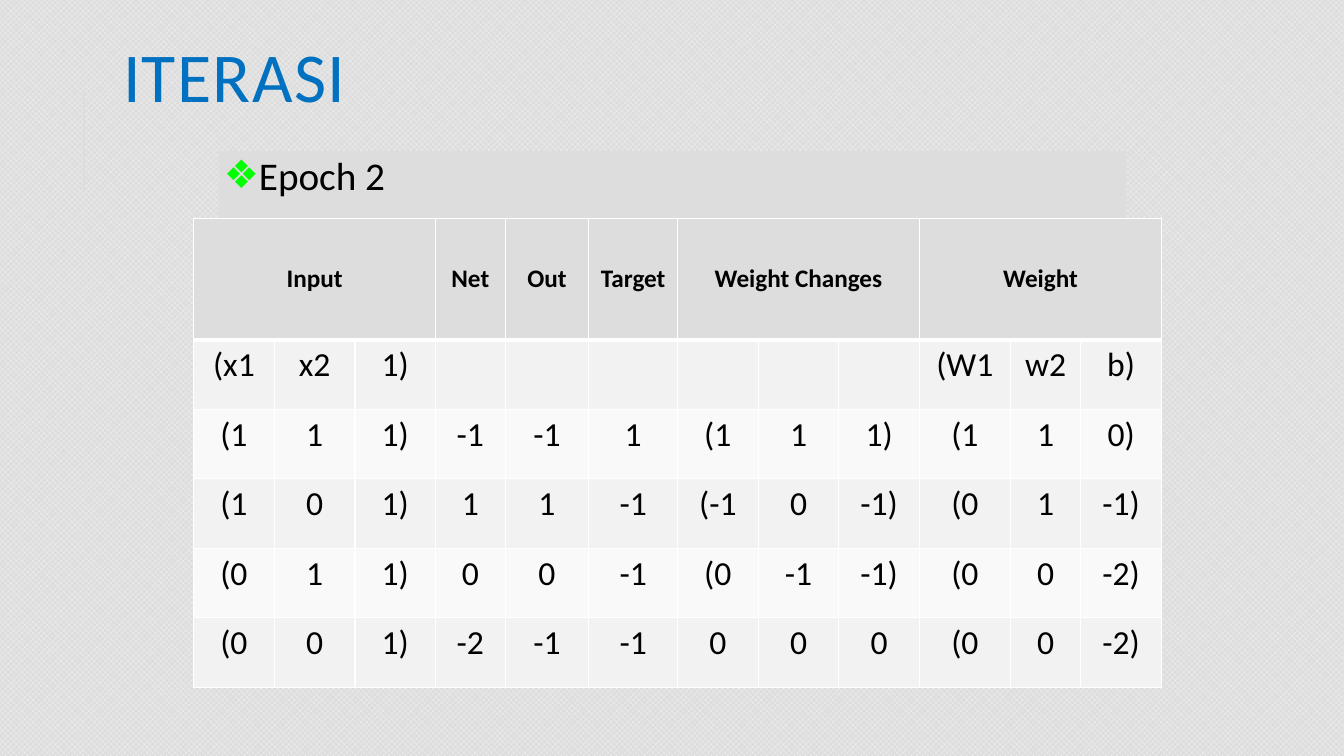
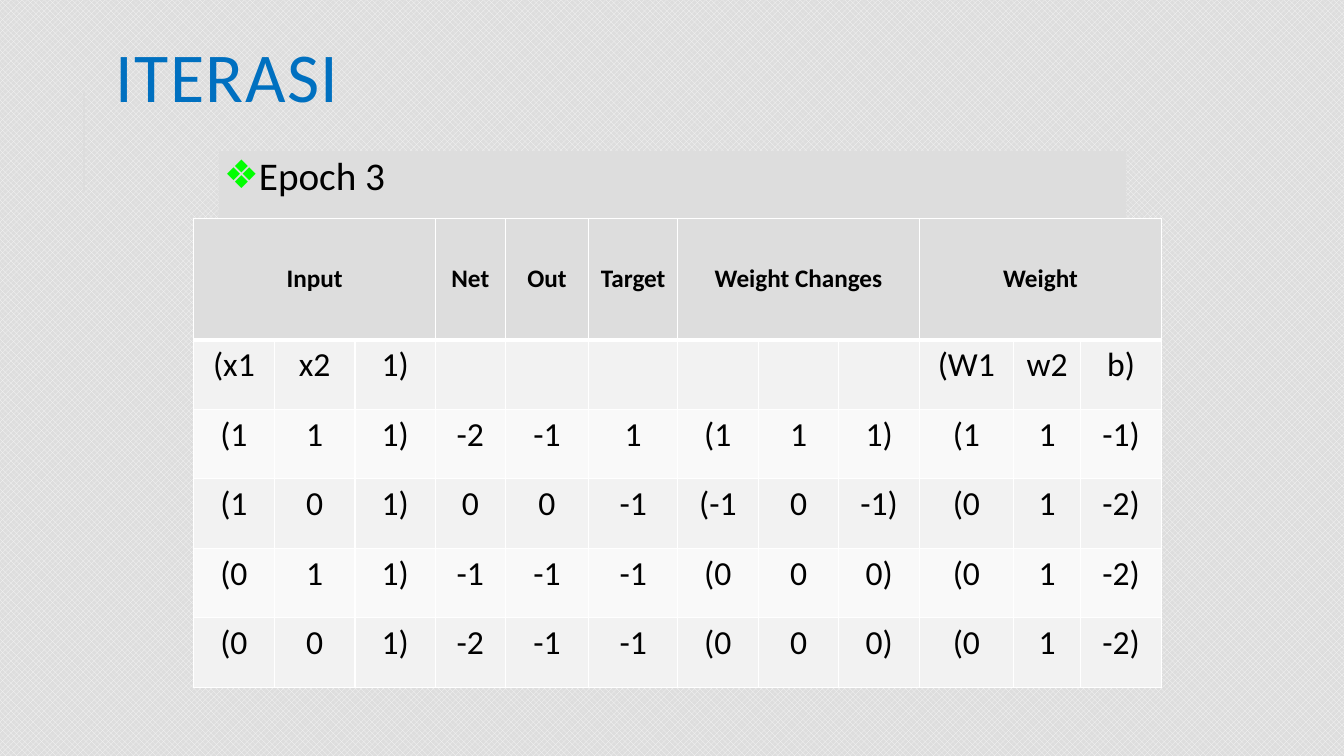
from lxml import etree
from pptx import Presentation
from pptx.dml.color import RGBColor
from pptx.enum.dml import MSO_PATTERN
from pptx.enum.shapes import MSO_CONNECTOR
from pptx.enum.text import MSO_ANCHOR, MSO_AUTO_SIZE, PP_ALIGN
from pptx.oxml.ns import qn
from pptx.util import Inches, Pt

STRAIGHT = MSO_CONNECTOR.STRAIGHT
SOLID_DIAMOND = MSO_PATTERN.SOLID_DIAMOND
MIDDLE, TOP = MSO_ANCHOR.MIDDLE, MSO_ANCHOR.TOP
LEFT, CENTER = PP_ALIGN.LEFT, PP_ALIGN.CENTER
NO_AUTOFIT = MSO_AUTO_SIZE.NONE

FONT = "Calibri"
BLACK = RGBColor(0x00, 0x00, 0x00)
WHITE = RGBColor(0xFF, 0xFF, 0xFF)
BLUE = RGBColor(0x00, 0x70, 0xC0)
GREEN = RGBColor(0x00, 0xFF, 0x00)
GRAY = RGBColor(0xDD, 0xDD, 0xDD)
PATTERN_DOT = RGBColor(0xF8, 0xF8, 0xF8)
BAND_COLORS = (RGBColor(0xF2, 0xF2, 0xF2), RGBColor(0xF9, 0xF9, 0xF9))

HEADERS = (("Input", 3), ("Net", 1), ("Out", 1), ("Target", 1),
           ("Weight Changes", 3), ("Weight", 3))
VARIABLES = ["(x1", "x2", "1)"] + [""] * 6 + ["(W1", "w2", "b)"]
INPUTS = ("(1 1 1)", "(1 0 1)", "(0 1 1)", "(0 0 1)")
SHARED_WIDTHS = (0.8, 0.8, 0.8, 0.69, 0.83, 0.88, 0.8, 0.8, 0.8)
HEADER_HEIGHT, ROW_HEIGHT = 1.2, 0.69

# Title, title left, widths of the weight columns, and for each input:
# net, out, target, weight changes, weights
EPOCHS = (
    ("Epoch 2", 1.12, (0.9, 0.7, 0.8), (
        "-1 -1 1 (1 1 1) (1 1 0)",
        "1 1 -1 (-1 0 -1) (0 1 -1)",
        "0 0 -1 (0 -1 -1) (0 0 -2)",
        "-2 -1 -1 0 0 0 (0 0 -2)")),
    ("Epoch 3", 1.05, (0.93, 0.67, 0.8), (
        "-2 -1 1 (1 1 1) (1 1 -1)",
        "0 0 -1 (-1 0 -1) (0 1 -2)",
        "-1 -1 -1 (0 0 0) (0 1 -2)",
        "-2 -1 -1 (0 0 0) (0 1 -2)")),
)


def set_font(paragraph, size, color, bold=False):
    font = paragraph.font
    font.name, font.size, font.bold = FONT, Pt(size), bold
    font.color.rgb = color


def place(shape, left, top, width, height):
    shape.left, shape.top = Inches(left), Inches(top)
    shape.width, shape.height = Inches(width), Inches(height)


def set_background(master):
    fill = master.background.fill
    fill.patterned()
    fill.pattern = SOLID_DIAMOND
    fill.fore_color.rgb = PATTERN_DOT
    fill.back_color.rgb = GRAY


def add_side_rule(slide):
    rule = slide.shapes.add_connector(
        STRAIGHT, Inches(0.83), Inches(1.9), Inches(0.83), Inches(0.9))
    rule.line.color.rgb = GRAY
    rule.line.width = Pt(1.5)
    etree.SubElement(rule.element.spPr, qn("a:effectLst"))


def set_title(slide, text, left):
    title = slide.shapes.title
    place(title, left, 0, 10.63, 1.64)
    frame = title.text_frame
    frame.text = text
    frame.auto_size = NO_AUTOFIT
    frame.vertical_anchor = MIDDLE
    paragraph = frame.paragraphs[0]
    paragraph.alignment = LEFT
    paragraph.line_spacing = 0.8
    set_font(paragraph, 50, BLUE)
    paragraph.font._element.set("spc", "100")


def add_bullet(paragraph, character, color):
    properties = paragraph._p.get_or_add_pPr()
    properties.set("marL", str(Inches(0.1)))
    properties.set("indent", str(-Inches(0.1)))
    bullet_color = etree.SubElement(properties, qn("a:buClr"))
    etree.SubElement(bullet_color, qn("a:srgbClr"), val=str(color))
    etree.SubElement(properties, qn("a:buChar"), char=character)


def set_body(slide, text):
    body = slide.placeholders[1]
    place(body, 2.17, 1.5, 9, 5.2)
    body.fill.solid()
    body.fill.fore_color.rgb = GRAY
    frame = body.text_frame
    frame.text = text
    frame.auto_size = NO_AUTOFIT
    frame.margin_left = frame.margin_right = Inches(0.05)
    frame.margin_top = frame.margin_bottom = Inches(0.05)
    paragraph = frame.paragraphs[0]
    paragraph.line_spacing = 0.9
    paragraph.space_before = Pt(12)
    paragraph.space_after = Pt(2)
    add_bullet(paragraph, "❖", GREEN)
    set_font(paragraph, 28, BLACK)


def set_borders(cell, top, bottom):
    """Draw white borders; top and bottom are widths in points."""
    properties = cell._tc.get_or_add_tcPr()
    for side, width in (("L", 1), ("R", 1), ("T", top), ("B", bottom)):
        line = etree.SubElement(properties, qn(f"a:ln{side}"), w=str(Pt(width)))
        fill = etree.SubElement(line, qn("a:solidFill"))
        etree.SubElement(fill, qn("a:srgbClr"), val=str(WHITE))


def format_cell(cell, row):
    is_header = row == 0
    set_borders(cell, 3 if row == 1 else 1, 3 if is_header else 1)
    cell.fill.solid()
    cell.fill.fore_color.rgb = GRAY if is_header else BAND_COLORS[(row - 1) % 2]
    cell.vertical_anchor = MIDDLE if is_header else TOP
    paragraph = cell.text_frame.paragraphs[0]
    paragraph.alignment = CENTER
    set_font(paragraph, 18 if is_header else 24, BLACK, is_header)


def add_epoch_table(slide, weight_widths, results):
    rows = [VARIABLES] + [f"{inputs} {result}".split()
                          for inputs, result in zip(INPUTS, results)]
    widths = SHARED_WIDTHS + weight_widths
    height = HEADER_HEIGHT + ROW_HEIGHT * len(rows)
    table = slide.shapes.add_table(
        len(rows) + 1, len(widths), Inches(1.92), Inches(2.17),
        Inches(sum(widths)), Inches(height)).table
    for column, width in zip(table.columns, widths):
        column.width = Inches(width)
    for index, row in enumerate(table.rows):
        row.height = Inches(ROW_HEIGHT if index else HEADER_HEIGHT)

    first = 0
    for text, span in HEADERS:
        table.cell(0, first).text = text
        if span > 1:
            table.cell(0, first).merge(table.cell(0, first + span - 1))
        first += span
    for row, texts in enumerate(rows, 1):
        for column, text in enumerate(texts):
            table.cell(row, column).text = text
    for index, row in enumerate(table.rows):
        for cell in row.cells:
            format_cell(cell, index)


def main():
    presentation = Presentation()
    presentation.slide_width = Inches(13.33)
    presentation.slide_height = Inches(7.5)
    set_background(presentation.slide_master)
    for epoch, title_left, weight_widths, results in EPOCHS:
        slide = presentation.slides.add_slide(presentation.slide_layouts[1])
        add_side_rule(slide)
        set_title(slide, "ITERASI", title_left)
        set_body(slide, epoch)
        add_epoch_table(slide, weight_widths, results)
    presentation.save("out.pptx")


if __name__ == "__main__":
    main()
